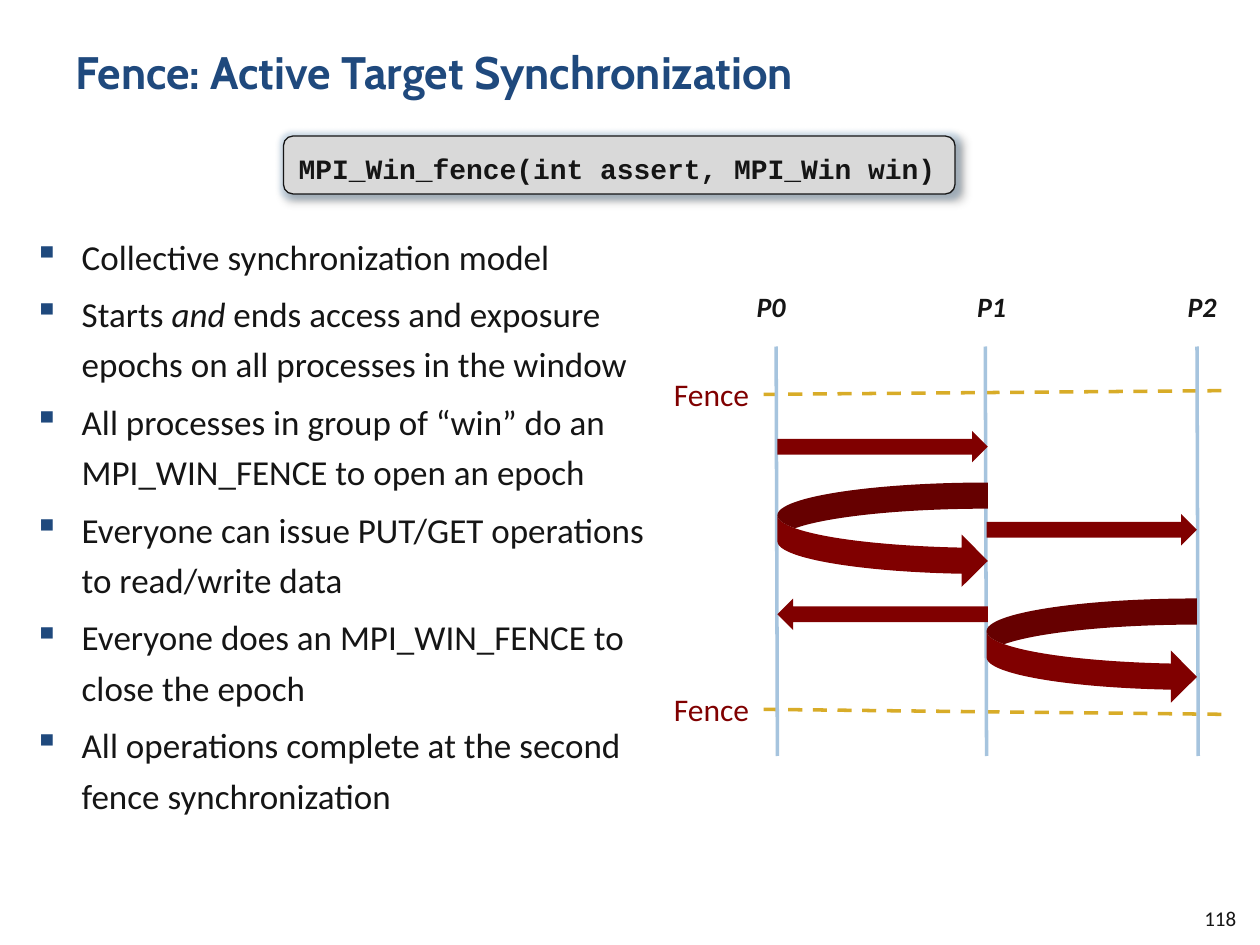
from lxml import etree
from pptx import Presentation
from pptx.dml.color import RGBColor
from pptx.enum.dml import MSO_LINE
from pptx.enum.shapes import MSO_CONNECTOR, MSO_SHAPE
from pptx.enum.text import MSO_ANCHOR, PP_ALIGN
from pptx.oxml.ns import qn
from pptx.util import Inches, Pt

LEFT, CENTER, RIGHT = PP_ALIGN.LEFT, PP_ALIGN.CENTER, PP_ALIGN.RIGHT
TOP, MIDDLE = MSO_ANCHOR.TOP, MSO_ANCHOR.MIDDLE
STRAIGHT, DASH = MSO_CONNECTOR.STRAIGHT, MSO_LINE.DASH
ROUND_RECT = MSO_SHAPE.ROUNDED_RECTANGLE
RIGHT_ARROW, LEFT_ARROW = MSO_SHAPE.RIGHT_ARROW, MSO_SHAPE.LEFT_ARROW
CURVED_ARROW = MSO_SHAPE.CURVED_RIGHT_ARROW

COLORS = {
    "title": "1F497D", "text": "151515", "code_fill": "D9D9D9",
    "process": "A6C4DE", "fence": "D8AC28", "arrow": "800000",
    "shadow": "000000", "glow": "A6C4DE",
}


def rgb(name):
    return RGBColor.from_string(COLORS[name])


class SlideBuilder:
    """Holds the text style and the current slide."""

    font = "Calibri"

    def __init__(self, slide):
        self.slide = slide

    def style(self, p, size, color="text", font=None, bold=False, italic=False):
        for r in p.runs:
            r.font.name = font or self.font
            r.font.size = Pt(size)
            r.font.color.rgb = rgb(color)
            r.font.bold = bold
            r.font.italic = italic

    def frame(self, x, y, w, h, anchor=TOP):
        box = self.slide.shapes.add_textbox(
            Inches(x), Inches(y), Inches(w), Inches(h))
        tf = box.text_frame
        tf.word_wrap = True
        tf.vertical_anchor = anchor
        return tf

    def text(self, text, x, y, w, h, size, align=LEFT, anchor=TOP, **style):
        tf = self.frame(x, y, w, h, anchor)
        tf.text = text
        p = tf.paragraphs[0]
        p.alignment = align
        self.style(p, size, **style)

    def bullets(self, items, x, y, w, h, size, indent):
        tf = self.frame(x, y, w, h)
        for i, parts in enumerate(items):
            p = tf.paragraphs[0] if i == 0 else tf.add_paragraph()
            p.line_spacing = 1.2
            p.space_before = Pt(4 if i else 0)
            pPr = p._p.get_or_add_pPr()
            pPr.set("marL", str(Inches(indent)))
            pPr.set("indent", str(-Inches(indent)))
            color = etree.SubElement(pPr, qn("a:buClr"))
            etree.SubElement(color, qn("a:srgbClr"), val=COLORS["title"])
            etree.SubElement(pPr, qn("a:buChar"), char="▪")
            for part in parts:
                p.add_run().text = part
            self.style(p, size)
            # Every second part is emphasised
            for r in p.runs[1::2]:
                r.font.italic = True

    def line(self, x1, y1, x2, y2, color, dash=None):
        s = self.slide.shapes.add_connector(
            STRAIGHT, Inches(x1), Inches(y1), Inches(x2), Inches(y2))
        s.line.color.rgb = rgb(color)
        s.line.width = Pt(2)
        if dash:
            s.line.dash_style = dash
        etree.SubElement(s._element.spPr, qn("a:effectLst"))

    def shape(self, kind, x, y, w, h, fill, line=None):
        s = self.slide.shapes.add_shape(
            kind, Inches(x), Inches(y), Inches(w), Inches(h))
        s.shadow.inherit = False
        s.fill.solid()
        s.fill.fore_color.rgb = rgb(fill)
        if line:
            s.line.color.rgb = rgb(line)
            s.line.width = Pt(0.75)
        else:
            s.line.fill.background()
        return s

    def effect(self, s, tag, color, alpha, **attrs):
        effects = s._element.spPr.find(qn("a:effectLst"))
        effect = etree.SubElement(effects, qn(tag), **attrs)
        clr = etree.SubElement(effect, qn("a:srgbClr"), val=COLORS[color])
        etree.SubElement(clr, qn("a:alpha"), val=str(alpha * 1000))

    def code_box(self, code, x, y, w, h):
        s = self.shape(ROUND_RECT, x, y, w, h, "code_fill", "text")
        self.effect(s, "a:glow", "glow", 40, rad=str(Pt(5)))
        self.effect(s, "a:outerShdw", "shadow", 40, blurRad=str(Pt(4)),
                    dist=str(Pt(3)), dir=str(45 * 60000), rotWithShape="0")
        tf = s.text_frame
        tf.word_wrap = True
        tf.vertical_anchor = MIDDLE
        tf.text = code
        p = tf.paragraphs[0]
        p.alignment = LEFT
        p.line_spacing = 1.2
        self.style(p, 16, font="Courier New", bold=True)


def main():
    prs = Presentation()
    prs.slide_width, prs.slide_height = Inches(10), Inches(7.5)
    b = SlideBuilder(prs.slides.add_slide(prs.slide_layouts[6]))

    # Title, bullets and page number
    b.text("Fence: Active Target Synchronization", 0.5, 0.3, 9, 0.87, 26,
           color="title", font="Cabin", bold=True)
    b.bullets([
        ["Collective synchronization model"],
        ["Starts ", "and",
         " ends access and exposure epochs on all processes in the window"],
        ["All processes in group of “win” do an MPI_WIN_FENCE to open an epoch"],
        ["Everyone can issue PUT/GET operations to read/write data"],
        ["Everyone does an MPI_WIN_FENCE to close the epoch"],
        ["All operations complete at the second fence synchronization"],
    ], 0.17, 1.75, 5.08, 5.17, size=20, indent=0.38)
    b.text("118", 8.83, 7.15, 1.08, 0.27, 12, align=RIGHT, anchor=MIDDLE)

    # Function signature
    b.code_box("MPI_Win_fence(int assert, MPI_Win win)", 2.25, 1.08, 5.33, 0.46)

    # Fences
    for y1, y2 in ((3.13, 3.1), (5.63, 5.67)):
        b.line(6.06, y1, 9.75, y2, "fence", DASH)
        b.text("Fence", 5.25, y1 - 0.2, 0.81, 0.4, 18, color="arrow")

    # Process timelines
    for name, x, label_x in (("P0", 6.16, 5.83), ("P1", 7.82, 7.58),
                             ("P2", 9.5, 9.25)):
        b.line(x, 2.75, x + 0.01, 6, "process")
        b.text(name, label_x, 2.25, 0.58, 0.37, 16, align=CENTER,
               bold=True, italic=True)

    # Operations between neighbouring processes
    p0, p1, gap = 6.17, 7.83, 1.67
    for kind, x, y, h in (
        (RIGHT_ARROW, p0, 3.42, 0.25),
        (CURVED_ARROW, p0, 3.83, 0.83),
        (LEFT_ARROW, p0, 4.75, 0.25),
        (RIGHT_ARROW, p1, 4.08, 0.25),
        (CURVED_ARROW, p1, 4.75, 0.83),
    ):
        b.shape(kind, x, y, gap, h, "arrow")

    prs.save("out.pptx")


if __name__ == "__main__":
    main()
